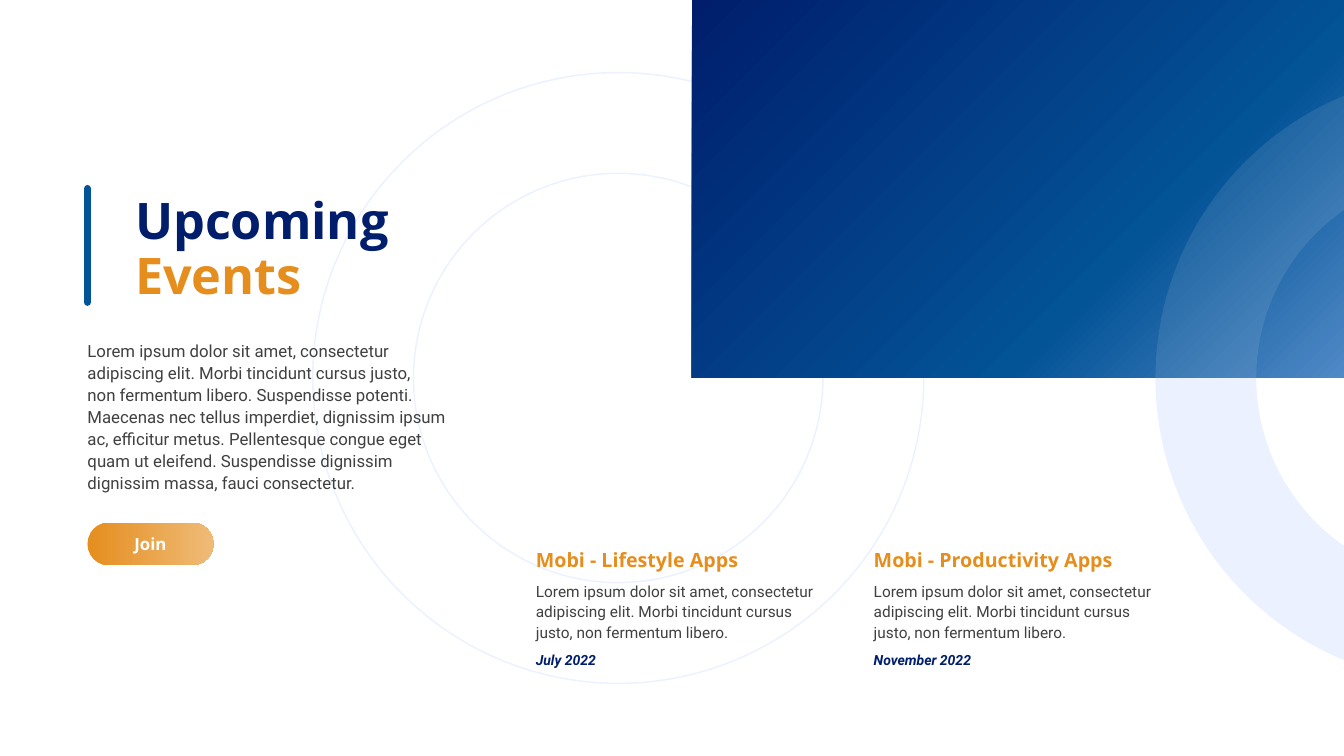
from copy import deepcopy
from math import acos, cos, sin, tan

from pptx import Presentation
from pptx.dml.color import RGBColor
from pptx.enum.shapes import MSO_CONNECTOR, MSO_SHAPE
from pptx.enum.text import MSO_ANCHOR, MSO_AUTO_SIZE, PP_ALIGN
from pptx.oxml.ns import qn
from pptx.oxml.xmlchemy import OxmlElement
from pptx.util import Inches, Pt

NAVY = RGBColor(0x00, 0x1E, 0x6C)
BLUE = RGBColor(0x03, 0x53, 0x97)
SKY = RGBColor(0x50, 0x89, 0xC6)
ORANGE = RGBColor(0xE5, 0x8E, 0x1E)
PEACH = RGBColor(0xEF, 0xBB, 0x78)
PALE = RGBColor(0xEC, 0xF1, 0xFF)
MIST = RGBColor(0xF2, 0xF2, 0xF2)
GRAY = RGBColor(0x40, 0x40, 0x40)
WHITE = RGBColor(0xFF, 0xFF, 0xFF)
HEADING_FONT, TEXT_FONT = "Open Sans", "Roboto"

SLIDE_WIDTH, SLIDE_HEIGHT = Inches(13.33), Inches(7.5)


def across(percent):
    return round(SLIDE_WIDTH * percent / 100)


def down(percent):
    return round(SLIDE_HEIGHT * percent / 100)


MARGIN = across(6.51)
EVENT_LEFT, EVENT_PITCH, EVENT_WIDTH = across(39.87), across(25.14), across(20.93)
OUTER_RADIUS, INNER_RADIUS = down(40.4), down(27.07)
MIDDLE = down(50)

INTRODUCTION = (
    "Lorem ipsum dolor sit amet, consectetur adipiscing elit. Morbi tincidunt cursus justo, \v"
    "non fermentum libero. Suspendisse potenti. Maecenas nec tellus imperdiet, dignissim ipsum "
    "ac, efficitur metus. Pellentesque congue eget quam ut eleifend. Suspendisse dignissim "
    "dignissim massa, fauci consectetur."
)
EVENT_TEXT = (
    "Lorem ipsum dolor sit amet, consectetur adipiscing elit. "
    "Morbi tincidunt cursus justo, non fermentum libero."
)
EVENTS = [
    ("Mobi - Lifestyle Apps", "July 2022"),
    ("Mobi - Productivity Apps", "November 2022"),
]


def place(shape, left, top, width, height):
    shape.left, shape.top, shape.width, shape.height = left, top, width, height


def write(shape, text, font, size, colors, bold=False, italic=False, spacing=1.0,
          anchor=MSO_ANCHOR.TOP, align=PP_ALIGN.LEFT):
    """Write one paragraph; colors go to its runs in order, the last one repeating."""
    frame = shape.text_frame
    frame.text = text
    frame.word_wrap = True
    frame.auto_size = MSO_AUTO_SIZE.NONE
    frame.vertical_anchor = anchor
    frame.margin_left = frame.margin_right = frame.margin_top = frame.margin_bottom = 0
    paragraph = frame.paragraphs[0]
    paragraph.alignment = align
    paragraph.line_spacing = spacing
    paragraph.space_before = Pt(0)
    for index, run in enumerate(paragraph.runs):
        run.font.name, run.font.size = font, Pt(size)
        run.font.bold, run.font.italic = bold, italic
        run.font.color.rgb = colors[min(index, len(colors) - 1)]


def add_text(slide, box, *content, **style):
    write(slide.shapes.add_textbox(*box), *content, **style)


def fill_gradient(shape, stops, angle):
    shape.fill.gradient()
    shape.fill.gradient_angle = angle
    stop_list = next(shape._element.iter(qn("a:gsLst")))
    while len(stop_list) < len(stops):
        stop_list.append(deepcopy(stop_list[0]))
    for stop, (position, color) in zip(shape.fill.gradient_stops, stops):
        stop.position, stop.color.rgb = position, color


def add_panel(slide, kind, box, stops, angle):
    shape = slide.shapes.add_shape(kind, *box)
    shape.shadow.inherit = False
    shape.line.fill.background()
    fill_gradient(shape, stops, angle)
    return shape


def add_outline_ring(slide, center):
    diameter = 2 * OUTER_RADIUS
    ring = slide.shapes.add_shape(MSO_SHAPE.DONUT, center - OUTER_RADIUS,
                                  MIDDLE - OUTER_RADIUS, diameter, diameter)
    ring.adjustments[0] = (OUTER_RADIUS - INNER_RADIUS) / diameter
    ring.shadow.inherit = False
    ring.fill.background()
    ring.line.color.rgb, ring.line.width = PALE, Pt(1)


def arc_points(center, radius, curves):
    """Bezier points on the ring's left side, from the slide's right edge downwards."""
    start = acos((center - SLIDE_WIDTH) / radius)
    reach = 4 / 3 * tan(start / 4)

    def point(angle, pull):
        return (round(center - radius * (cos(angle) + pull * sin(angle))),
                round(MIDDLE - radius * (sin(angle) - pull * cos(angle))))

    points = [point(start, 0)]
    for index in range(curves):
        angle = start * (1 - index)
        points += [point(angle, reach), point(angle - start, -reach), point(angle - start, 0)]
    return points


def curve_segments(lines):
    """Join straight segments, three at a time, into cubic curves."""
    for first in range(0, len(lines), 3):
        curve = OxmlElement("a:cubicBezTo")
        lines[first].addprevious(curve)
        for line in lines[first:first + 3]:
            curve.append(line[0])
            line.getparent().remove(line)


def add_edge_band(slide, center, color, opacity=100, curves=2):
    outer = arc_points(center, OUTER_RADIUS, curves)
    inner = arc_points(center, INNER_RADIUS, curves)[::-1]
    builder = slide.shapes.build_freeform(*outer[0], scale=1.0)
    builder.add_line_segments(outer[1:] + inner, close=True)
    band = builder.convert_to_shape()
    lines = list(band._element.iter(qn("a:lnTo")))
    arc_length = 3 * curves
    curve_segments(lines[:arc_length])
    curve_segments(lines[arc_length + 1:2 * arc_length + 1])
    band.shadow.inherit = False
    band.line.fill.background()
    band.fill.solid()
    band.fill.fore_color.rgb = color
    if opacity < 100:
        alpha = OxmlElement("a:alpha")
        alpha.set("val", str(opacity * 1000))
        next(band._element.spPr.iter(qn("a:srgbClr"))).append(alpha)


def add_accent_line(slide, left, top, bottom):
    line = slide.shapes.add_connector(MSO_CONNECTOR.STRAIGHT, left, top, left, bottom)
    line.line.color.rgb, line.line.width = BLUE, Pt(5)
    line.line._get_or_add_ln().set("cap", "rnd")
    line._element.spPr.append(OxmlElement("a:effectLst"))


def add_title(slide):
    title = slide.shapes.title
    slide.shapes._spTree.append(title._element)  # bring in front of the rings
    place(title, across(10.05), down(25.8), across(24), down(14.67))
    write(title, "Upcoming\vEvents", HEADING_FONT, 36, [NAVY, ORANGE], bold=True,
          spacing=0.9, anchor=MSO_ANCHOR.MIDDLE)


def add_introduction(slide):
    body = slide.placeholders[1]
    slide.shapes._spTree.append(body._element)
    place(body, MARGIN, down(44.75), across(27.61), down(20.93))
    write(body, INTRODUCTION, TEXT_FONT, 12, [GRAY], spacing=1.1)
    properties = body.text_frame.paragraphs[0]._p.get_or_add_pPr()
    properties.set("marL", "0")
    properties.set("indent", "0")
    properties.append(OxmlElement("a:buNone"))


def add_event(slide, left, name, date):
    add_text(slide, (left, down(76.75), EVENT_WIDTH, down(8.4)), EVENT_TEXT, TEXT_FONT, 11,
             [GRAY], spacing=1.1)
    add_text(slide, (left, down(72.27), EVENT_WIDTH, down(3.33)), name, HEADING_FONT, 14,
             [ORANGE], bold=True, anchor=MSO_ANCHOR.BOTTOM)
    add_text(slide, (left, down(86), EVENT_WIDTH, down(2.53)), date, TEXT_FONT, 10,
             [NAVY], bold=True, italic=True, spacing=1.1)


def main():
    presentation = Presentation()
    presentation.slide_width, presentation.slide_height = SLIDE_WIDTH, SLIDE_HEIGHT
    slide = presentation.slides.add_slide(presentation.slide_layouts[1])

    # Rings, blue panel and heading
    edge_center = across(108.7)
    add_outline_ring(slide, across(46))
    add_edge_band(slide, edge_center, PALE)
    add_panel(slide, MSO_SHAPE.RECTANGLE, (across(51.47), 0, across(48.53), MIDDLE),
              [(0, NAVY), (0.67, BLUE), (1, SKY)], 315)
    add_title(slide)
    add_accent_line(slide, MARGIN, down(24.93), down(40))

    # Introduction and button
    add_introduction(slide)
    button = add_panel(slide, MSO_SHAPE.ROUNDED_RECTANGLE,
                       (MARGIN, down(69.15), across(9.38), down(5.6)),
                       [(0, ORANGE), (1, PEACH)], 0)
    button.adjustments[0] = 0.5
    write(button, "Join", HEADING_FONT, 12, [WHITE], bold=True,
          anchor=MSO_ANCHOR.MIDDLE, align=PP_ALIGN.CENTER)

    # Light band over the panel, then the events
    add_edge_band(slide, edge_center, MIST, opacity=10, curves=1)
    for column, (name, date) in enumerate(EVENTS):
        add_event(slide, EVENT_LEFT + column * EVENT_PITCH, name, date)

    presentation.save("out.pptx")


if __name__ == "__main__":
    main()
